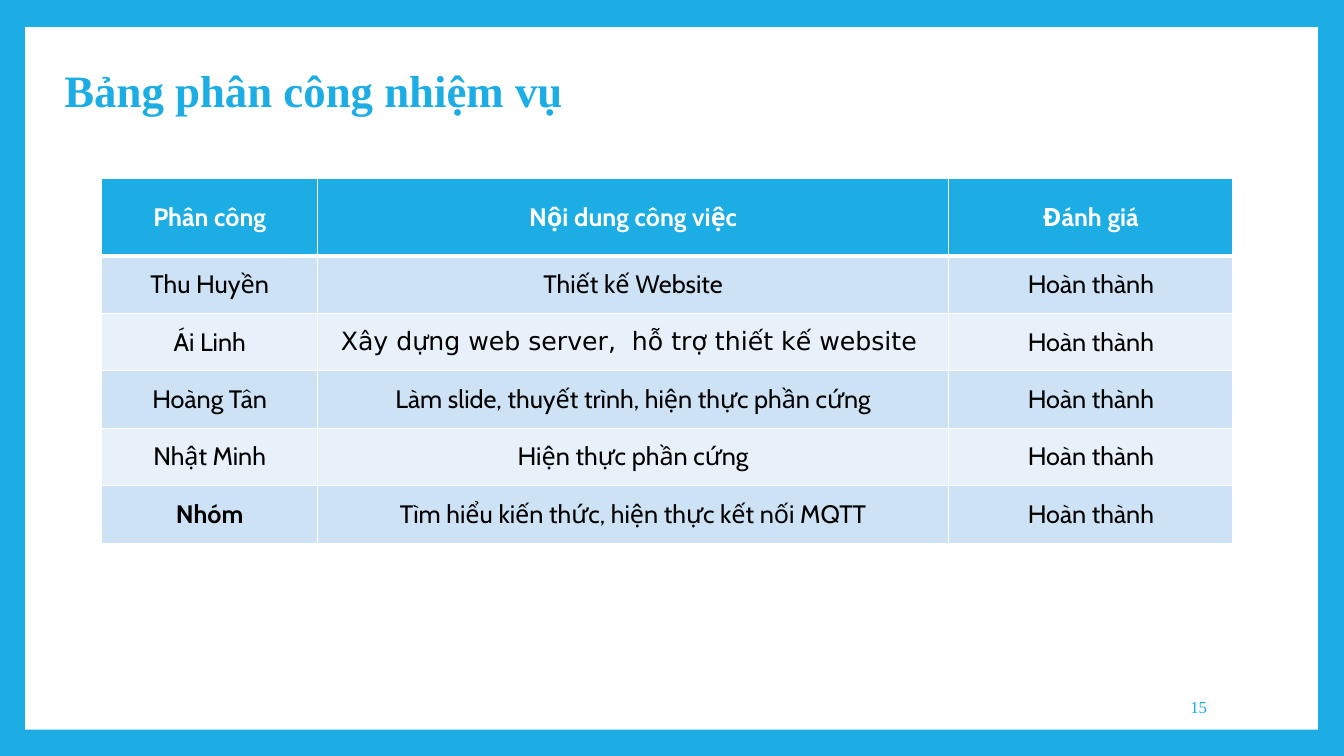
from lxml import etree
from pptx import Presentation, util as u
from pptx.dml.color import RGBColor
from pptx.enum import shapes, text
from pptx.oxml import ns

BLUE, WHITE, BLACK = "1CADE4", "FFFFFF", "000000"
BANDS = ["CDE3F5", "E8F1FA"]
SERIF, SANS, FALLBACK = "Times New Roman", "Cabin", "DejaVu Sans"


def paint(fill, colour):
    fill.solid()
    fill.fore_color.rgb = RGBColor.from_string(colour)


def write(frame, words, size, font, colour, bold, align):
    frame.word_wrap = True
    frame.vertical_anchor = text.MSO_ANCHOR.MIDDLE
    line = frame.paragraphs[0]
    line.alignment = align
    run = line.add_run()
    run.text = words
    run.font.size = u.Pt(size)
    run.font.name = font
    run.font.bold = bold
    paint(run.font.fill, colour)
    return line


deck = Presentation()
deck.slide_width, deck.slide_height = u.Inches(13.33), u.Inches(7.5)
slide = deck.slides.add_slide(deck.slide_layouts[6])

# Blue frame around a white page
paint(slide.background.fill, BLUE)
page = slide.shapes.add_shape(
    shapes.MSO_SHAPE.RECTANGLE,
    u.Inches(0.25), u.Inches(0.27), u.Inches(12.82), u.Inches(6.97))
page.shadow.inherit = False
paint(page.fill, WHITE)
page.line.fill.background()

# Heading and page number
heading = slide.shapes.add_textbox(
    u.Inches(0.54), u.Inches(0.62), u.Inches(10.8), u.Inches(0.61))
write(heading.text_frame, "Bảng phân công nhiệm vụ", 32, SERIF, BLUE, True,
      text.PP_ALIGN.LEFT).line_spacing = 0.9
number = slide.shapes.add_textbox(
    u.Inches(10.2), u.Inches(6.81), u.Inches(1.87), u.Inches(0.4))
write(number.text_frame, "15", 12, SERIF, BLUE, False, text.PP_ALIGN.RIGHT)

# Task table: member, work, rating
DONE = "Hoàn thành"
tasks = [
    ("Phân công", "Nội dung công việc", "Đánh giá"),
    ("Thu Huyền", "Thiết kế Website", DONE),
    ("Ái Linh", "Xây dựng web server,  hỗ trợ thiết kế website ", DONE),
    ("Hoàng Tân", "Làm slide, thuyết trình, hiện thực phần cứng", DONE),
    ("Nhật Minh", "Hiện thực phần cứng", DONE),
    ("Nhóm", "Tìm hiểu kiến thức, hiện thực kết nối MQTT", DONE),
]
widths = [2.14, 6.26, 2.82]
heights = [0.77] + [0.57] * (len(tasks) - 1)
table = slide.shapes.add_table(
    len(tasks), len(widths), u.Inches(1.01), u.Inches(1.77),
    u.Inches(sum(widths)), u.Inches(sum(heights))).table
for column, width in zip(table.columns, widths):
    column.width = u.Inches(width)
for row, height in zip(table.rows, heights):
    row.height = u.Inches(height)

for r, task in enumerate(tasks):
    for c, words in enumerate(task):
        cell = table.cell(r, c)
        header = r == 0
        cell.vertical_anchor = text.MSO_ANCHOR.MIDDLE
        write(cell.text_frame, words, 18,
              FALLBACK if (r, c) == (2, 1) else SANS,
              WHITE if header else BLACK,
              header or words == "Nhóm", text.PP_ALIGN.CENTER)

        # White borders, heavier under the header
        props = cell._tc.get_or_add_tcPr()
        for side in ("L", "R", "T", "B"):
            heavy = (r, side) in ((0, "B"), (1, "T"))
            border = etree.SubElement(props, ns.qn(f"a:ln{side}"),
                                      w=str(u.Pt(3 if heavy else 1)))
            solid = etree.SubElement(border, ns.qn("a:solidFill"))
            etree.SubElement(solid, ns.qn("a:srgbClr"), val=WHITE)
        paint(cell.fill, BLUE if header else BANDS[(r - 1) % 2])

deck.save("out.pptx")
